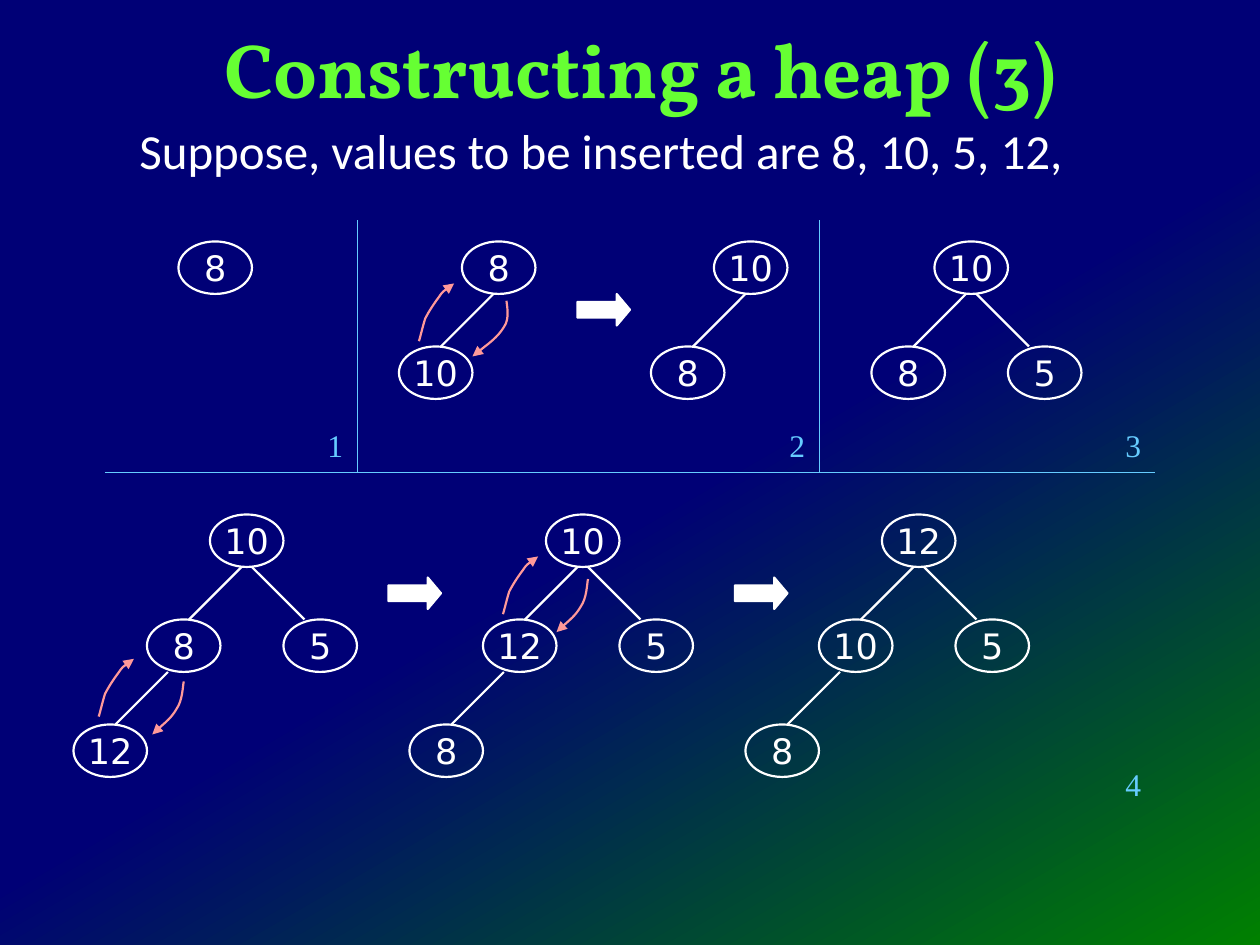
from copy import deepcopy
from dataclasses import dataclass

from lxml import etree
from pptx import Presentation
from pptx import util as u
from pptx.dml.color import RGBColor
from pptx.enum import shapes, text
from pptx.oxml.ns import qn


@dataclass(frozen=True)
class Theme:
    navy: str = "000076"
    green: str = "008000"
    title: str = "66FF33"
    ink: str = "FFFFFF"
    rule: str = "66CCFF"
    swap: str = "FF9999"
    title_font: str = "Vollkorn"
    body_font: str = "Calibri"
    node_font: str = "DejaVu Sans"
    number_font: str = "Times New Roman"
    title_size: int = 44
    body_size: int = 28
    node_size: int = 20
    number_size: int = 18
    stroke: float = 1.25
    thin: float = 0.5


THEME = Theme()
COLUMNS = 120  # grid steps across the slide
NODE = (7, 5)

# Node positions relative to the root, in grid steps
LEFT, RIGHT, LEFT_LEFT = (-6, 10), (7, 10), (-13, 20)

# Bezier points of the swap arrows, each list relative to its own corner
UP = [(0, 5.5), (0.12, 5.15), (0.36, 4.1), (0.6, 3.35), (0.95, 2.65),
      (1.45, 1.9), (1.9, 1.3), (2.3, 0.7), (3, 0.25), (3.35, 0)]
DOWN = [(3, 0), (2.9, 0.5), (2.9, 1.8), (2.3, 2.65), (1.8, 3.5), (0.5, 4.55), (0, 5.05)]
WIDE_DOWN = [(3.25, 0), (3.25, 0.35), (3.6, 1.7), (3, 2.5), (2.4, 3.5), (0.6, 4.8), (0, 5.3)]


def grid(steps):
    return u.Cm(steps * 25.4 / COLUMNS)


def color(value):
    return RGBColor.from_string(value)


def stroke(line, value, width):
    line.color.rgb = color(value)
    line.width = u.Pt(width)


def write(frame, words, font, size, value, bold=False, align=text.PP_ALIGN.LEFT):
    frame.text = words
    paragraph = frame.paragraphs[0]
    paragraph.alignment = align
    run_font = paragraph.runs[0].font
    run_font.name, run_font.size, run_font.bold = font, u.Pt(size), bold
    run_font.color.rgb = color(value)


def paint_background(slide):
    fill = slide.background.fill
    fill.gradient()
    fill.gradient_angle = 300
    first = fill.gradient_stops[0]
    first.color.rgb = color(THEME.navy)
    first.position = 0
    stop_list = slide.background.fill._fill._gradFill.find(qn("a:gsLst"))
    stop_list.insert(1, deepcopy(stop_list[0]))
    fill.gradient_stops[1].position = 0.53
    last = fill.gradient_stops[2]
    last.color.rgb = color(THEME.green)
    last.position = 1


def add_heading(slide, left, top, width):
    title = slide.shapes.add_textbox(left, top, width, u.Cm(2.12)).text_frame
    title.word_wrap = True
    title.vertical_anchor = text.MSO_ANCHOR.MIDDLE
    write(title, "Constructing a heap (3)", THEME.title_font, THEME.title_size,
          THEME.title, True, text.PP_ALIGN.CENTER)
    values = slide.shapes.add_textbox(left + u.Cm(1.5), top + u.Cm(2), u.Cm(19.66), u.Cm(1.45))
    values.text_frame.word_wrap = False
    write(values.text_frame, "Suppose, values to be inserted are 8, 10, 5, 12,",
          THEME.body_font, THEME.body_size, THEME.ink)


def add_line(container, start, end, value, width):
    points = [grid(step) for step in (*start, *end)]
    line = container.add_connector(shapes.MSO_CONNECTOR.STRAIGHT, *points)
    stroke(line.line, value, width)
    etree.SubElement(line._element.spPr, qn("a:effectLst"))


def add_panels(slide, left, top, width, height):
    bottom = top + height
    add_line(slide.shapes, (left, bottom), (left + width, bottom), THEME.rule, THEME.thin)
    for column in (left + 24, left + 68):
        add_line(slide.shapes, (column, top), (column, bottom), THEME.rule, THEME.thin)
    corners = [(left + 24, bottom), (left + 68, bottom),
               (left + width, bottom), (left + width, bottom + 32.25)]
    for number, (right, base) in enumerate(corners, 1):
        label = slide.shapes.add_textbox(grid(right - 4), grid(base - 5), grid(5), grid(4.8))
        label.text_frame.word_wrap = True
        write(label.text_frame, str(number), THEME.number_font, THEME.number_size, THEME.rule)


def add_node(container, left, top, value):
    node = container.add_shape(shapes.MSO_SHAPE.OVAL, grid(left), grid(top),
                               *(grid(side) for side in NODE))
    node.shadow.inherit = False
    node.fill.background()
    stroke(node.line, THEME.ink, THEME.stroke)
    frame = node.text_frame
    frame.word_wrap = False
    frame.vertical_anchor = text.MSO_ANCHOR.MIDDLE
    write(frame, str(value), THEME.node_font, THEME.node_size, THEME.ink,
          align=text.PP_ALIGN.CENTER)


def add_tree(slide, left, top, values):
    """Draw root, left child, right child and left grandchild, as far as values go."""
    container = slide.shapes.add_group_shape().shapes if len(values) > 1 else slide.shapes
    places = [(0, 0), LEFT, RIGHT, LEFT_LEFT]
    edges = [None, ((3, 5), (-2, 10)), ((4, 5), (9, 10)), ((-4, 15), (-9, 20))]
    for value, (x, y), edge in zip(values, places, edges):
        add_node(container, left + x, top + y, value)
        if edge:
            start, end = [(left + dx, top + dy) for dx, dy in edge]
            add_line(container, start, end, THEME.ink, THEME.stroke)


def add_curved_arrow(container, left, top, points):
    corners = [(grid(left + x), grid(top + y)) for x, y in points]
    builder = container.build_freeform(*corners[0])
    builder.add_line_segments(corners[1:], close=False)
    curve = builder.convert_to_shape()
    curve.shadow.inherit = False
    curve.fill.background()
    stroke(curve.line, THEME.swap, THEME.stroke)
    etree.SubElement(curve.line._get_or_add_ln(), qn("a:tailEnd"), type="triangle")
    # Every three straight segments become one Bezier segment
    segments = list(curve._element.iter(qn("a:lnTo")))
    for first, second, third in zip(*[iter(segments)] * 3):
        bezier = etree.SubElement(first.getparent(), qn("a:cubicBezTo"))
        for segment in (first, second, third):
            bezier.append(segment[0])
            segment.getparent().remove(segment)


def add_swap(slide, left, top, down=DOWN, down_top=6.15):
    """Draw the two arrows that exchange the node at left, top with its left child."""
    container = slide.shapes.add_group_shape().shapes
    add_curved_arrow(container, left - 4.1, top + 4, UP)
    add_curved_arrow(container, left + 1, top + down_top, down)


def add_step_arrow(slide, left, top):
    arrow = slide.shapes.add_shape(shapes.MSO_SHAPE.RIGHT_ARROW, grid(left), grid(top),
                                   grid(5), grid(3))
    arrow.adjustments[0], arrow.adjustments[1] = 0.5, 0.42
    arrow.shadow.inherit = False
    arrow.fill.solid()
    arrow.fill.fore_color.rgb = color(THEME.ink)
    stroke(arrow.line, THEME.ink, THEME.stroke)


def add_first_row(slide, top):
    for left, values in [(17, [8]), (44, [8, 10]), (68, [10, 8]), (89, [10, 8, 5])]:
        add_tree(slide, left, top, values)
    add_swap(slide, 44, top, WIDE_DOWN, 5.65)
    add_step_arrow(slide, 55, top + 5)


def add_second_row(slide, left, top):
    for index, values in enumerate([[10, 8, 5, 12], [10, 12, 5, 8], [12, 10, 5, 8]]):
        add_tree(slide, left + 32 * index, top, values)
    add_swap(slide, left - 6.5, top + 9.75)
    add_swap(slide, left + 32, top)
    for offset in (17, 50):
        add_step_arrow(slide, left + offset, top + 6)


def main():
    presentation = Presentation()
    presentation.slide_width, presentation.slide_height = u.Cm(25.4), u.Cm(19.05)
    slide = presentation.slides.add_slide(presentation.slide_layouts[6])
    paint_background(slide)
    add_heading(slide, u.Cm(1.06), u.Cm(0.31), u.Cm(23.71))
    add_panels(slide, 10, 21, 100, 24)
    add_first_row(slide, 23)
    add_second_row(slide, 20, 49)
    presentation.save("out.pptx")


if __name__ == "__main__":
    main()
